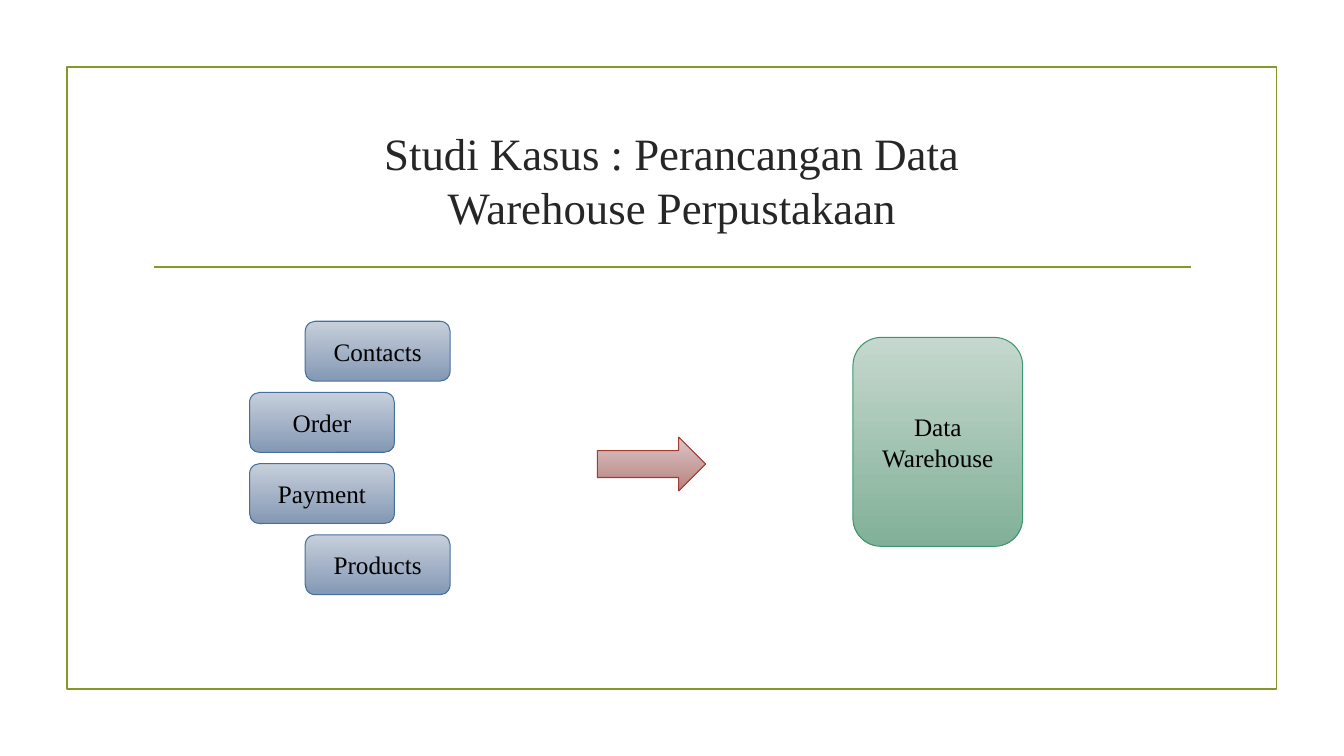
from dataclasses import dataclass

from lxml import etree
from pptx import Presentation
from pptx.dml.color import RGBColor
from pptx.enum.shapes import MSO_CONNECTOR, MSO_SHAPE
from pptx.enum.text import MSO_ANCHOR, MSO_AUTO_SIZE, PP_ALIGN
from pptx.oxml.ns import qn
from pptx.util import Pt

RECT = MSO_SHAPE.RECTANGLE
ROUND = MSO_SHAPE.ROUNDED_RECTANGLE
ARROW = MSO_SHAPE.RIGHT_ARROW
STRAIGHT = MSO_CONNECTOR.STRAIGHT
CENTER = PP_ALIGN.CENTER
MIDDLE = MSO_ANCHOR.MIDDLE
NO_FIT = MSO_AUTO_SIZE.NONE


@dataclass(frozen=True)
class Theme:
    font: str = "Times New Roman"
    head: int = 32
    body: int = 18
    dark: str = "262626"
    black: str = "000000"
    olive: str = "83992A"
    rule: float = 1.25
    edge: float = 0.75
    # Top colour, bottom colour, outline
    blue: tuple = ("C7CFDB", "8498B4", "44709D")
    red: tuple = ("DCC6C6", "B7817F", "A23C33")
    green: tuple = ("C6D8CE", "81B098", "3C9770")


THEME = Theme()


def rgb(code):
    return RGBColor.from_string(code)


def apply(item, values):
    for name, value in values.items():
        setattr(item, name, value)


def set_line(item, color, width):
    item.line.color.rgb = rgb(color)
    item.line.width = Pt(width)


def set_text(shape, text, size, color):
    frame = shape.text_frame
    frame.text = text
    apply(frame, {"word_wrap": True, "auto_size": NO_FIT,
                  "vertical_anchor": MIDDLE})
    for para in frame.paragraphs:
        para.alignment = CENTER
        for run in para.runs:
            apply(run.font, {"name": THEME.font, "size": Pt(size)})
            run.font.color.rgb = rgb(color)


def add_title(slide, text, box):
    title = slide.shapes.title
    apply(title, dict(zip(("left", "top", "width", "height"), map(Pt, box))))
    set_text(title, text, THEME.head, THEME.dark)


def add_frame(slide, box):
    frame = slide.shapes.add_shape(RECT, *map(Pt, box))
    frame.shadow.inherit = False
    frame.fill.background()
    set_line(frame, THEME.olive, THEME.rule)


def add_rule(slide, left, right, y):
    rule = slide.shapes.add_connector(STRAIGHT, Pt(left), Pt(y), Pt(right), Pt(y))
    set_line(rule, THEME.olive, THEME.rule)
    etree.SubElement(rule._element.spPr, qn("a:effectLst"))


def add_block(slide, kind, box, tones, text=""):
    block = slide.shapes.add_shape(kind, *map(Pt, box))
    block.shadow.inherit = False
    upper, lower, edge = tones
    block.fill.gradient()
    block.fill.gradient_angle = 270
    for stop, tone in zip(block.fill.gradient_stops, (upper, lower)):
        stop.color.rgb = rgb(tone)
    set_line(block, edge, THEME.edge)
    if text:
        set_text(block, text, THEME.body, THEME.black)


def main():
    deck = Presentation()
    apply(deck, {"slide_width": Pt(960), "slide_height": Pt(540)})
    slide = deck.slides.add_slide(deck.slide_layouts[5])

    # Frame, title and rule
    add_frame(slide, (47.75, 48, 864, 444))
    add_title(slide, "Studi Kasus : Perancangan Data\vWarehouse Perpustakaan",
              (102, 77, 756, 103))
    add_rule(slide, 110, 850.5, 190.75)

    # Data sources: the outer two are shifted right
    inner, outer, top, step = 178.25, 218, 229.5, 50.85
    sources = (("Contacts", outer), ("Order", inner),
               ("Payment", inner), ("Products", outer))
    for row, (name, left) in enumerate(sources):
        add_block(slide, ROUND, (left, top + row * step, 103.5, 42.75),
                  THEME.blue, name)

    # Flow into the warehouse
    add_block(slide, ARROW, (426.75, 312.25, 77.25, 38.5), THEME.red)
    add_block(slide, ROUND, (609.25, 241, 121.25, 149.25), THEME.green,
              "Data\nWarehouse")

    deck.save("out.pptx")


if __name__ == "__main__":
    main()
